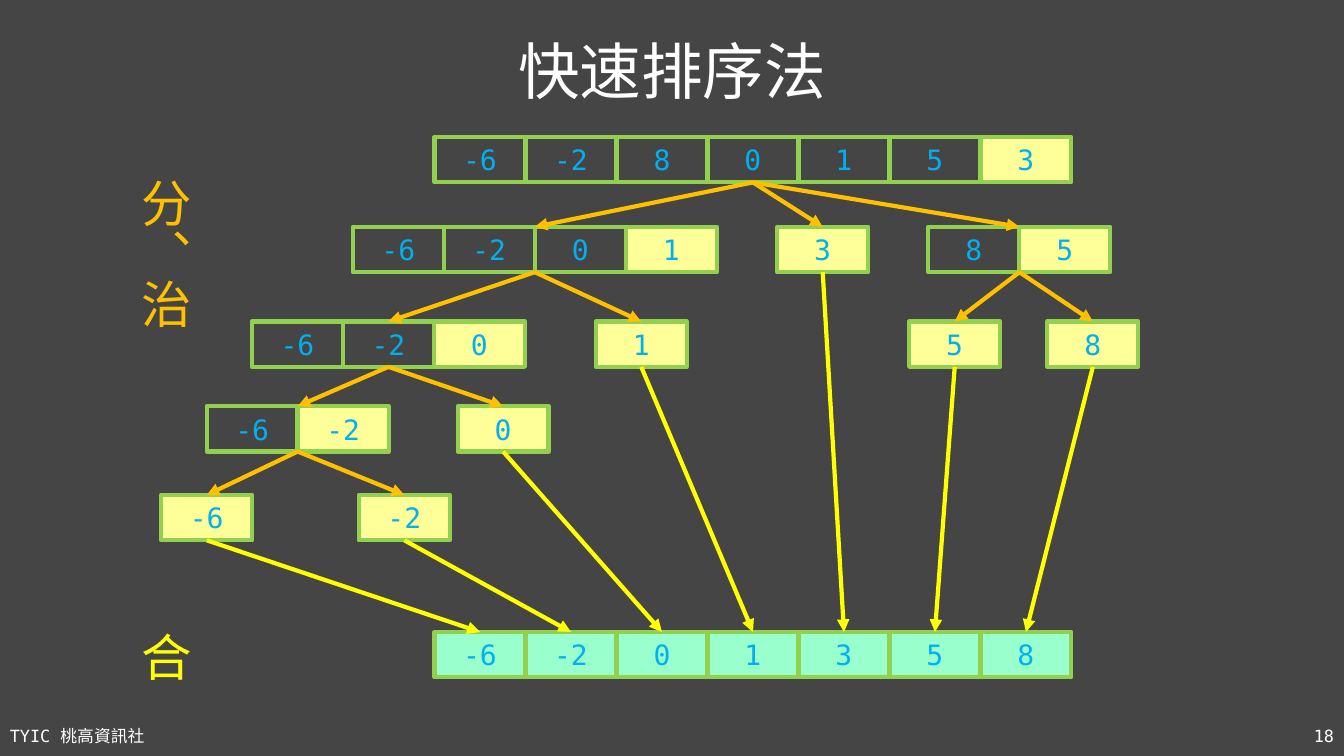
from dataclasses import dataclass

from lxml.etree import SubElement
from pptx import Presentation
from pptx.dml.color import RGBColor
from pptx.enum.shapes import MSO_CONNECTOR, MSO_SHAPE
from pptx.enum.text import MSO_ANCHOR, MSO_AUTO_SIZE, PP_ALIGN
from pptx.oxml.ns import qn
from pptx.util import Inches, Pt


@dataclass(frozen=True)
class Theme:
    """Colours, font and type sizes of the slide."""
    font: str = "DejaVu Sans Mono"
    background: str = "454545"
    white: str = "FFFFFF"
    number: str = "00B0F0"
    border: str = "92D050"
    pivot: str = "FFFF99"
    merged: str = "99FFCC"
    divide: str = "FFC000"
    conquer: str = "FFFF00"
    title_size: int = 44
    step_size: int = 36
    number_size: int = 20
    footer_size: int = 12
    line_width: int = 3


@dataclass(frozen=True)
class Box:
    """A region that hands out areas of itself by percent."""
    left: int
    top: int
    width: int
    height: int

    def area(self, left, top, width, height):
        """Return the position and size of an area given in percent."""
        return (self.left + round(self.width * left / 100),
                self.top + round(self.height * top / 100),
                round(self.width * width / 100),
                round(self.height * height / 100))


@dataclass(frozen=True)
class Partition:
    """A stretch of the list, with its left edge in percent."""
    left: float
    numbers: tuple
    children: tuple = ()


THEME = Theme()
CELL_WIDTH, CELL_HEIGHT = 6.77, 6
ROW_TOPS = (18.13, 30, 42.53, 53.73, 65.47)
MERGED_LEFT, MERGED_TOP = 32.33, 83.6
QUICKSORT = Partition(32.33, (-6, -2, 8, 0, 1, 5, 3), (
    Partition(26.25, (-6, -2, 0, 1), (
        Partition(18.75, (-6, -2, 0), (
            Partition(15.38, (-6, -2), (
                Partition(12, (-6,)),
                Partition(26.7, (-2,)))),
            Partition(34.05, (0,)))),
        Partition(44.33, (1,)))),
    Partition(57.83, (3,)),
    Partition(69.08, (8, 5), (
        Partition(67.65, (5,)),
        Partition(77.93, (8,))))))


def colour(value):
    """Turn a hex string into a colour."""
    return RGBColor.from_string(value)


def write(shape, text, *, size, color, align=PP_ALIGN.CENTER,
          anchor=MSO_ANCHOR.MIDDLE, wrap=True, spacing=None):
    """Put one formatted paragraph into a shape."""
    frame = shape.text_frame
    frame.word_wrap = wrap
    frame.vertical_anchor = anchor
    paragraph = frame.paragraphs[0]
    paragraph.alignment = align
    paragraph.line_spacing = spacing
    run = paragraph.add_run()
    run.text = text
    run.font.size = Pt(size)
    run.font.name = THEME.font
    run.font.color.rgb = colour(color)
    SubElement(run.font._element, qn("a:ea"), typeface=THEME.font)


def draw_title(slide, box):
    """Place the heading in the title placeholder."""
    title = slide.shapes.title
    title.left, title.top, title.width, title.height = box.area(6.9, 0.13, 86.25, 19.33)
    write(title, "快速排序法", size=THEME.title_size, color=THEME.white, spacing=0.9)


def draw_footer(slide, box):
    """Place the club name and the page number along the bottom."""
    for left, text, align in ((0, "TYIC 桃高資訊社", PP_ALIGN.LEFT),
                              (77.5, "18", PP_ALIGN.RIGHT)):
        note = slide.shapes.add_textbox(*box.area(left, 94.67, 22.5, 5.33))
        write(note, text, size=THEME.footer_size, color=THEME.white, align=align)


def draw_steps(slide, box):
    """Place the vertical names of the divide and merge steps."""
    for text, top, height, color in (("分、治", 22.27, 21.6, THEME.divide),
                                     ("合", 82.27, 8.13, THEME.conquer)):
        step = slide.shapes.add_textbox(*box.area(8.78, top, 6.08, height))
        write(step, text, size=THEME.step_size, color=color,
              anchor=MSO_ANCHOR.TOP, wrap=False)
        step.text_frame.auto_size = MSO_AUTO_SIZE.SHAPE_TO_FIT_TEXT
        step.text_frame._txBody.bodyPr.set("vert", "eaVert")


def draw_cells(slide, box, left, top, numbers, fills):
    """Draw adjoining number cells and return them."""
    cells = []
    for index, (number, fill) in enumerate(zip(numbers, fills)):
        cell = slide.shapes.add_shape(MSO_SHAPE.RECTANGLE, *box.area(
            left + index * CELL_WIDTH, top, CELL_WIDTH, CELL_HEIGHT))
        cell.shadow.inherit = False
        if fill:
            cell.fill.solid()
            cell.fill.fore_color.rgb = colour(fill)
        else:
            cell.fill.background()
        cell.line.color.rgb = colour(THEME.border)
        cell.line.width = Pt(THEME.line_width)
        write(cell, str(number), size=THEME.number_size, color=THEME.number)
        cells.append(cell)
    return cells


def draw_arrow(slide, upper, lower, color):
    """Point from the bottom centre of some cells to the top centre of others."""
    start, end = ((cells[0].left + cells[-1].left + cells[-1].width) // 2
                  for cells in (upper, lower))
    arrow = slide.shapes.add_connector(
        MSO_CONNECTOR.STRAIGHT, start, upper[0].top + upper[0].height, end, lower[0].top)
    if len(upper) % 2:
        arrow.begin_connect(upper[len(upper) // 2], 2)
    if len(lower) % 2:
        arrow.end_connect(lower[len(lower) // 2], 0)
    arrow.line.color.rgb = colour(color)
    arrow.line.width = Pt(THEME.line_width)
    SubElement(arrow.line._get_or_add_ln(), qn("a:tailEnd"), type="triangle")
    SubElement(arrow._element.spPr, qn("a:effectLst"))


def draw_partition(slide, box, partition, depth=0):
    """Draw a partition with its descendants; return its cells and its leaves."""
    fills = [None] * (len(partition.numbers) - 1) + [THEME.pivot]
    cells = draw_cells(slide, box, partition.left, ROW_TOPS[depth],
                       partition.numbers, fills)
    if not partition.children:
        return cells, cells
    leaves = []
    for child in partition.children:
        child_cells, child_leaves = draw_partition(slide, box, child, depth + 1)
        draw_arrow(slide, cells, child_cells, THEME.divide)
        leaves += child_leaves
    return cells, leaves


def draw_merge(slide, box, leaves):
    """Draw the sorted list and lead every leaf to its cell."""
    numbers = [leaf.text_frame.text for leaf in leaves]
    merged = draw_cells(slide, box, MERGED_LEFT, MERGED_TOP, numbers,
                        [THEME.merged] * len(numbers))
    for leaf, cell in zip(leaves, merged):
        draw_arrow(slide, [leaf], [cell], THEME.conquer)


def main():
    """Build and save the quicksort slide."""
    deck = Presentation()
    deck.slide_width, deck.slide_height = Inches(13.33), Inches(7.5)
    slide = deck.slides.add_slide(deck.slide_layouts[5])
    slide.background.fill.solid()
    slide.background.fill.fore_color.rgb = colour(THEME.background)
    page = Box(0, 0, deck.slide_width, deck.slide_height)
    draw_footer(slide, page)
    draw_title(slide, page)
    draw_steps(slide, page)
    leaves = draw_partition(slide, page, QUICKSORT)[1]
    draw_merge(slide, page, leaves)
    deck.save("out.pptx")


if __name__ == "__main__":
    main()
